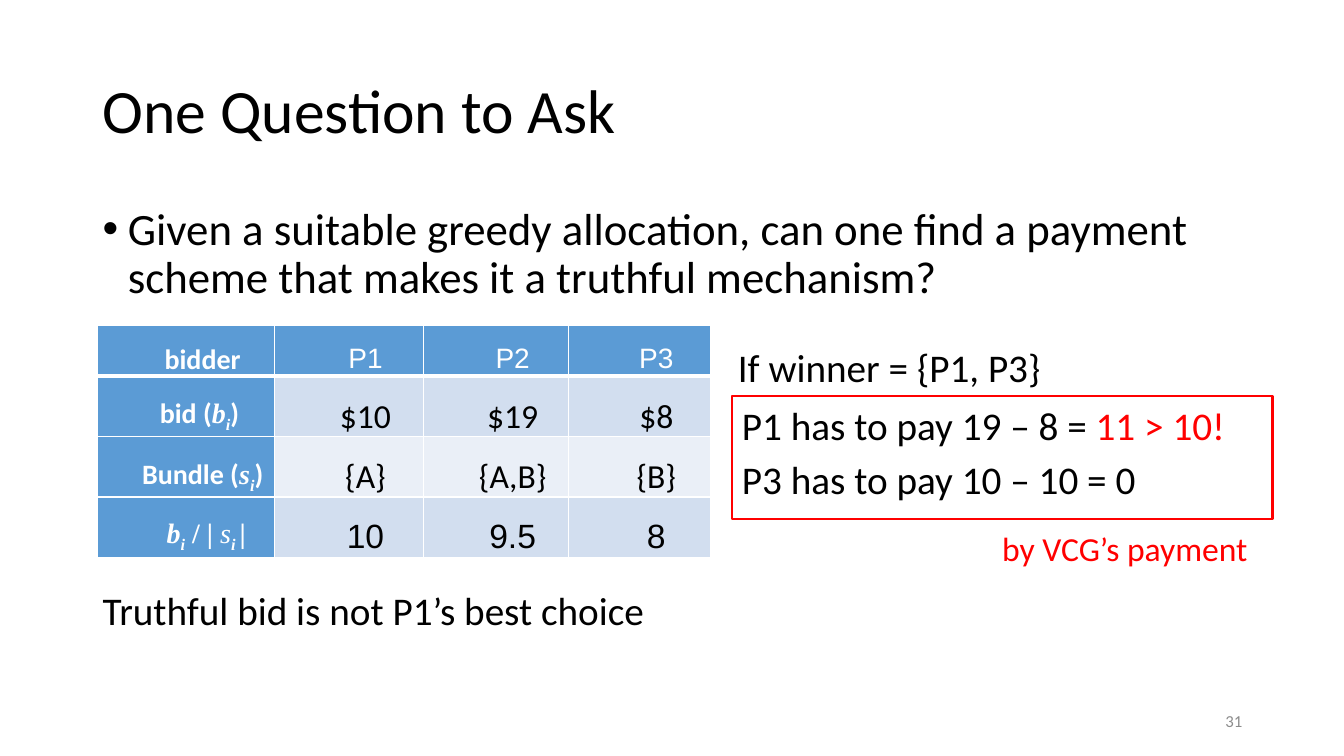
from lxml.etree import SubElement
from pptx import Presentation
from pptx.dml.color import RGBColor
from pptx.enum.shapes import MSO_SHAPE
from pptx.enum.text import MSO_ANCHOR, PP_ALIGN
from pptx.oxml.ns import qn
from pptx.util import Inches, Pt

BLACK = RGBColor(0x00, 0x00, 0x00)
WHITE = RGBColor(0xFF, 0xFF, 0xFF)
RED = RGBColor(0xFF, 0x00, 0x00)
GRAY = RGBColor(0x8C, 0x8C, 0x8C)
HEADER_BLUE = RGBColor(0x5B, 0x9B, 0xD5)
BAND_DARK = RGBColor(0xD2, 0xDE, 0xEF)
BAND_LIGHT = RGBColor(0xEA, 0xEF, 0xF7)
SANS, ARIAL, SERIF = "Calibri", "Arial", "Times New Roman"


def add_run(paragraph, text, size, color, name=SANS, style=""):
    """Style letters: b bold, i italic, s subscript."""
    run = paragraph.add_run()
    run.text = text
    run.font.size = Pt(size)
    run.font.name = name
    run.font.color.rgb = color
    run.font.bold = "b" in style
    run.font.italic = "i" in style
    if "s" in style:
        run._r.get_or_add_rPr().set("baseline", "-25000")


def add_text(left, top, width, height, runs, size, wrap=True, anchor=MSO_ANCHOR.TOP):
    box = slide.shapes.add_textbox(Inches(left), Inches(top), Inches(width), Inches(height))
    box.text_frame.word_wrap = wrap
    box.text_frame.vertical_anchor = anchor
    paragraph = box.text_frame.paragraphs[0]
    for text, color in runs:
        add_run(paragraph, text, size, color)
    return paragraph


presentation = Presentation()
presentation.slide_width = Inches(13.33)
presentation.slide_height = Inches(7.5)
slide = presentation.slides.add_slide(presentation.slide_layouts[6])

# Title and question
title = add_text(0.92, 0.4, 11.5, 1.45, [("One Question to Ask", BLACK)], 44,
                 anchor=MSO_ANCHOR.MIDDLE)
title.line_spacing = 0.9
question = add_text(0.92, 2, 11.5, 4.76, [(
    "Given a suitable greedy allocation, can one ﬁnd a payment "
    "scheme that makes it a truthful mechanism?", BLACK)], 32)
question.line_spacing = 0.9
properties = question._p.get_or_add_pPr()
properties.set("marL", str(Inches(0.25)))
properties.set("indent", str(Inches(-0.25)))
SubElement(properties, qn("a:buFont"), typeface="Arial")
SubElement(properties, qn("a:buChar"), char="•")

# Bidder table: row label as (text, font, style) runs, then values
ROWS = [
    (0.48, HEADER_BLUE, [("bidder", SANS, "b")], ["P1", "P2", "P3"], 20, WHITE, ARIAL),
    (0.48, BAND_DARK,
     [("bid (", SANS, "b"), ("b", SERIF, "bi"), ("i", SERIF, "bis"), (") ", SANS, "b")],
     ["$10", "$19", "$8"], 24, BLACK, SANS),
    (0.56, BAND_LIGHT,
     [("Bundle (", SANS, "b"), ("s", SERIF, "bi"), ("i", SERIF, "bis"), (")", SANS, "b")],
     ["{A}", "{A,B}", "{B}"], 24, BLACK, SANS),
    (0.56, BAND_DARK,
     [(" ", SERIF, "b"), ("b", SERIF, "bi"), ("i", SERIF, "bis"), (" / | ", SERIF, "b"),
      ("s", SERIF, "i"), ("i ", SERIF, "bis"), ("|", SERIF, "b")],
     ["10", "9.5", "8"], 24, BLACK, ARIAL),
]
COLUMN_WIDTHS = [1.75, 1.48, 1.44, 1.41]
table = slide.shapes.add_table(len(ROWS), len(COLUMN_WIDTHS), Inches(0.97), Inches(3.23),
                               Inches(6.07), Inches(2.08)).table
for column, width in zip(table.columns, COLUMN_WIDTHS):
    column.width = Inches(width)

for row, (height, band, label, values, size, color, name) in enumerate(ROWS):
    table.rows[row].height = Inches(height)
    for column in range(len(COLUMN_WIDTHS)):
        cell = table.cell(row, column)
        cell.vertical_anchor = MSO_ANCHOR.MIDDLE
        cell.margin_top = cell.margin_bottom = 0
        cell.margin_left = cell.margin_right = Inches(0.07 if column else 0)
        paragraph = cell.text_frame.paragraphs[0]
        paragraph.alignment = PP_ALIGN.CENTER
        paragraph.line_spacing = 1.5
        paragraph._p.get_or_add_pPr().set("indent", str(Inches(0.33)))
        if column:
            add_run(paragraph, values[column - 1], size, color, name)
        else:
            for text, label_font, style in label:
                add_run(paragraph, text, 20, WHITE, label_font, style)
        # White borders, thicker under the header row
        for side in ("L", "R", "T", "B"):
            thick = (row, side) in ((0, "B"), (1, "T"))
            border = SubElement(cell._tc.get_or_add_tcPr(), qn(f"a:ln{side}"),
                                w=str(Pt(3 if thick else 1)))
            SubElement(SubElement(border, qn("a:solidFill")), qn("a:srgbClr"), val=str(WHITE))
        cell.fill.solid()
        cell.fill.fore_color.rgb = band if column else HEADER_BLUE

# Payments and conclusion
NOTES = [
    (7.22, 3.36, 3.31, [("If winner = {P1, P3}", BLACK)]),
    (7.26, 3.93, 5.15, [("P1 has to pay 19 – 8 = ", BLACK), ("11 > 10!", RED)]),
    (7.26, 4.47, 4.25, [("P3 has to pay 10 – 10 = 0", BLACK)]),
    (0.92, 5.77, 5.64, [("Truthful bid is not P1’s best choice", BLACK)]),
]
for left, top, width, runs in NOTES:
    add_text(left, top, width, 0.57, runs, 28, wrap=False)

# Red frame around the payments
frame = slide.shapes.add_shape(MSO_SHAPE.RECTANGLE, Inches(7.26), Inches(3.93),
                               Inches(5.36), Inches(1.22))
frame.shadow.inherit = False
frame.fill.background()
frame.line.color.rgb = RED
frame.line.width = Pt(1.75)
add_text(9.84, 5.19, 2.78, 0.5, [("by VCG’s payment", RED)], 24)

# Slide number
number = add_text(9.42, 6.95, 3, 0.4, [("31", GRAY)], 12, anchor=MSO_ANCHOR.MIDDLE)
number.alignment = PP_ALIGN.RIGHT

presentation.save("out.pptx")
